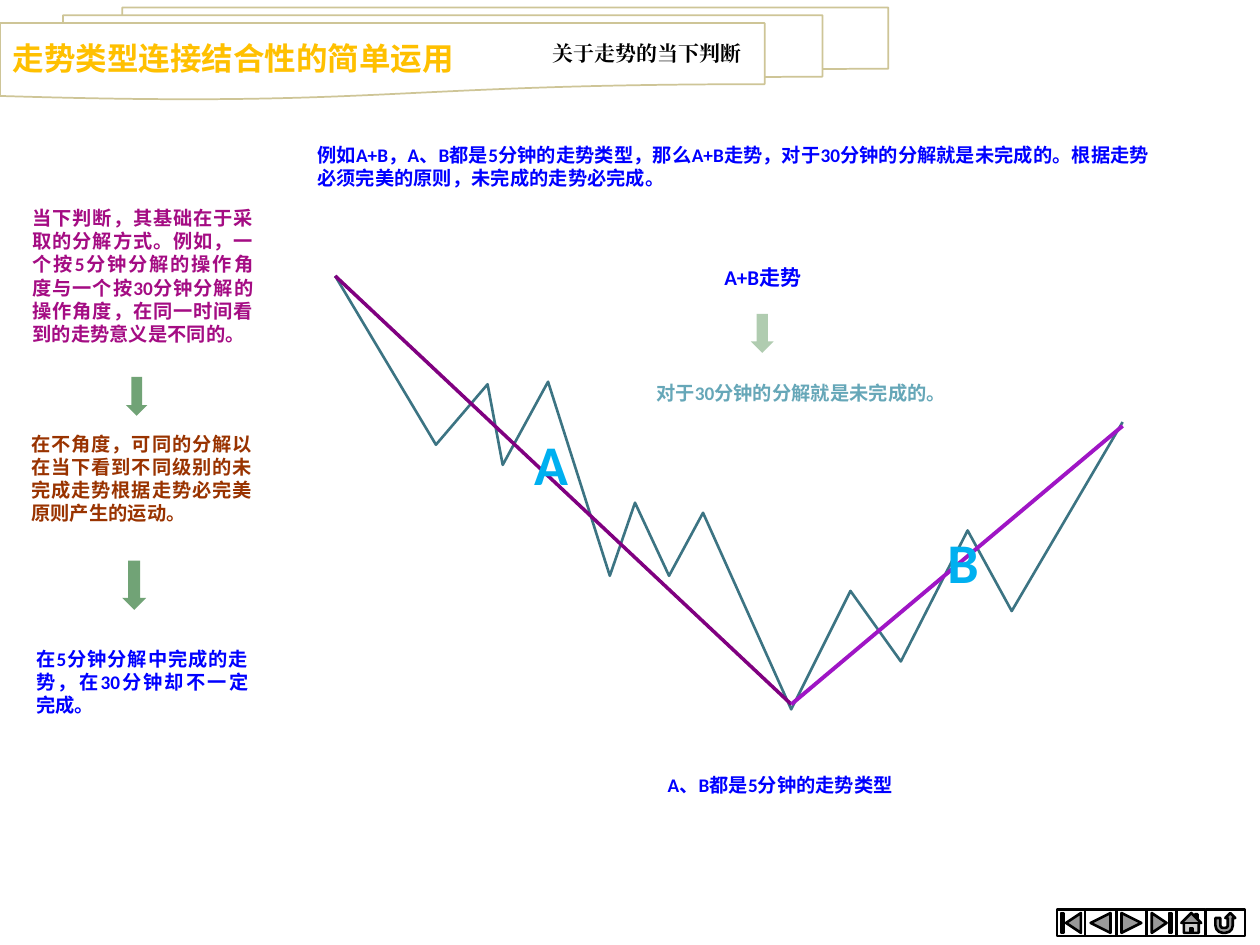
from lxml import etree
from pptx import Presentation
from pptx.dml.color import RGBColor
from pptx.enum.shapes import MSO_CONNECTOR, MSO_SHAPE
from pptx.enum.text import MSO_ANCHOR, MSO_AUTO_SIZE, PP_ALIGN
from pptx.oxml.ns import qn
from pptx.util import Inches, Pt

LEFT, JUSTIFY = PP_ALIGN.LEFT, PP_ALIGN.JUSTIFY
DOWN_ARROW = MSO_SHAPE.DOWN_ARROW
BUTTONS = [
    MSO_SHAPE.ACTION_BUTTON_BEGINNING,
    MSO_SHAPE.ACTION_BUTTON_BACK_OR_PREVIOUS,
    MSO_SHAPE.ACTION_BUTTON_FORWARD_OR_NEXT,
    MSO_SHAPE.ACTION_BUTTON_END,
    MSO_SHAPE.ACTION_BUTTON_HOME,
    MSO_SHAPE.ACTION_BUTTON_RETURN,
]
COLORS = {
    "white": "FFFFFF", "black": "000000", "gold": "FFC000", "sand": "CEC597",
    "magenta": "A40C83", "brown": "993300", "blue": "0000FF", "teal": "66A7B8",
    "sky": "00B0F0", "wave": "3C7483", "purple": "800080", "violet": "9F15C5",
    "pale_green": "B0CCB0", "green": "71A376",
}


def color(name):
    return RGBColor.from_string(COLORS[name])


def write(sp, text, size, name, font="Calibri", align=LEFT, wrap=True):
    tf = sp.text_frame
    tf.text = text
    tf.word_wrap = wrap
    tf.auto_size = MSO_AUTO_SIZE.NONE if wrap else MSO_AUTO_SIZE.SHAPE_TO_FIT_TEXT
    p = tf.paragraphs[0]
    p.alignment = align
    r = p.runs[0]
    r.font.size = Pt(size)
    r.font.bold = True
    r.font.name = font
    r.font.color.rgb = color(name)
    # Chinese characters take the same typeface
    etree.SubElement(r.font._element, qn("a:ea")).set("typeface", font)


prs = Presentation()
prs.slide_width, prs.slide_height = Inches(10), Inches(7.5)
s = prs.slides.add_slide(prs.slide_layouts[5])

# Header banner, placed behind the title
title = s.shapes.title
sp = s.shapes.add_shape(MSO_SHAPE.FLOWCHART_MULTIDOCUMENT,
                        Inches(0), Inches(0.06), Inches(7.05), Inches(0.73))
sp.shadow.inherit = False
sp.fill.solid()
sp.fill.fore_color.rgb = color("white")
sp.line.color.rgb = color("sand")
sp.line.width = Pt(1)
title.element.addprevious(sp.element)

title.left, title.top = Inches(0), Inches(0.18)
title.width, title.height = Inches(4.19), Inches(0.48)
write(title, "走势类型连接结合性的简单运用", 18, "gold", "Noto Sans CJK SC")
title.text_frame.vertical_anchor = MSO_ANCHOR.BOTTOM

sp = s.shapes.add_textbox(Inches(4.29), Inches(0.27), Inches(1.82), Inches(0.33))
write(sp, "关于走势的当下判断", 12, "black", "Times New Roman")

# Justified paragraphs
paragraphs = [
    (0.16, 1.59, 1.95, 1.4, "magenta",
     "当下判断，其基础在于采取的分解方式。例如，一个按5分钟分解的操作角度与一个按30分钟分解的操作角度，"
     "在同一时间看到的走势意义是不同的。"),
    (0.15, 3.38, 1.95, 0.84, "brown",
     "在不角度，可同的分解以在当下看到不同级别的未完成走势根据走势必完美原则产生的运动。"),
    (0.19, 5.09, 1.88, 0.77, "blue",
     "在5分钟分解中完成的走势，在30分钟却不一定完成。"),
    (2.42, 1.09, 6.8, 0.47, "blue",
     "例如A+B，A、B都是5分钟的走势类型，那么A+B走势，对于30分钟的分解就是未完成的。"
     "根据走势必须完美的原则，未完成的走势必完成。"),
]
for x, y, w, h, name, text in paragraphs:
    sp = s.shapes.add_textbox(Inches(x), Inches(y), Inches(w), Inches(h))
    write(sp, text, 11, name, align=JUSTIFY)

# Price wave and the trend line of part A
wave = [(2.66, 2.19), (3.46, 3.53), (3.87, 3.05), (3.99, 3.69), (4.35, 3.03),
        (4.84, 4.57), (5.04, 3.99), (5.31, 4.57), (5.58, 4.07), (6.28, 5.63),
        (6.75, 4.69), (7.15, 5.25), (7.68, 4.21), (8.03, 4.85), (8.91, 3.35)]
trend_a = [(2.66, 2.19), (6.28, 5.59)]
for points, name, width in [(wave, "wave", 1.5), (trend_a, "purple", 2)]:
    start, *rest = [(Inches(x), Inches(y)) for x, y in points]
    builder = s.shapes.build_freeform(*start)
    builder.add_line_segments(rest, close=False)
    sp = builder.convert_to_shape()
    sp.shadow.inherit = False
    sp.fill.background()
    sp.line.color.rgb = color(name)
    sp.line.width = Pt(width)

# Trend line of part B
trend_b = s.shapes.add_connector(MSO_CONNECTOR.STRAIGHT, Inches(6.28), Inches(5.59),
                                 Inches(8.91), Inches(3.38))
trend_b.line.color.rgb = color("violet")
trend_b.line.width = Pt(2.25)
etree.SubElement(trend_b.element.spPr, qn("a:effectLst"))

# One-line labels on the diagram
labels = [
    (5.65, 2.05, 0.85, 0.3, 12, "blue", "A+B走势"),
    (5.11, 2.98, 2.57, 0.29, 11, "teal", "对于30分钟的分解就是未完成的。"),
    (5.2, 6.09, 2.17, 0.29, 11, "blue", "A、B都是5分钟的走势类型"),
]
for x, y, w, h, size, name, text in labels:
    sp = s.shapes.add_textbox(Inches(x), Inches(y), Inches(w), Inches(h))
    write(sp, text, size, name, wrap=False)

# Down arrows
arrows = [(5.96, 2.49, 0.18, 0.31, "pale_green"),
          (1, 2.99, 0.17, 0.31, "green"),
          (0.97, 4.45, 0.19, 0.39, "green")]
for x, y, w, h, name in arrows:
    sp = s.shapes.add_shape(DOWN_ARROW, Inches(x), Inches(y), Inches(w), Inches(h))
    sp.shadow.inherit = False
    sp.fill.solid()
    sp.fill.fore_color.rgb = color(name)
    sp.line.fill.background()

# Large letters naming the two parts
for x, y, w, h, text in [(4.14, 3.36, 0.48, 0.6, "A"), (7.42, 4.14, 0.53, 0.54, "B")]:
    sp = s.shapes.add_textbox(Inches(x), Inches(y), Inches(w), Inches(h))
    write(sp, text, 32, "sky", align=JUSTIFY)

# Navigation buttons, side by side
edges = [8.39, 8.61, 8.86, 9.1, 9.34, 9.57, 9.88]
for button, x, right in zip(BUTTONS, edges, edges[1:]):
    sp = s.shapes.add_shape(button, Inches(x), Inches(7.22), Inches(right - x), Inches(0.21))
    sp.shadow.inherit = False
    sp.fill.solid()
    sp.fill.fore_color.rgb = color("white")
    sp.line.color.rgb = color("black")
    sp.line.width = Pt(1.5)

prs.save("out.pptx")
